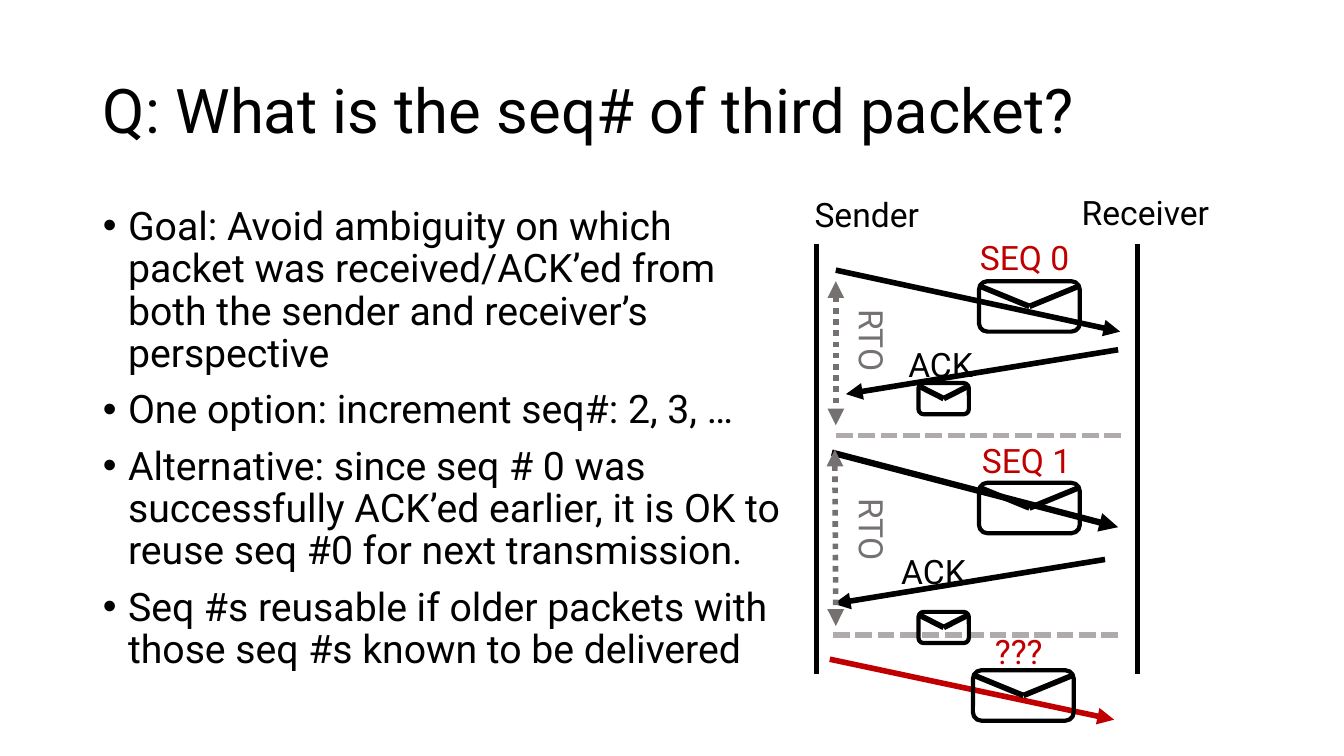
"""Build a slide on choosing the sequence number of the third packet."""
from dataclasses import dataclass
from typing import Optional

from lxml.etree import SubElement
from pptx import Presentation
from pptx.dml.color import RGBColor
from pptx.enum.dml import MSO_LINE
from pptx.enum.shapes import MSO_CONNECTOR, MSO_SHAPE
from pptx.enum.text import MSO_ANCHOR, MSO_AUTO_SIZE, PP_ALIGN
from pptx.oxml.ns import qn
from pptx.util import Inches, Pt

BLACK, RED, GREY, LIGHT_GREY = "000000", "C00000", "767171", "AFABAB"
FONT = "Roboto"
TITLE = "Q: What is the seq# of third packet?"
POINTS = [
    "Goal: Avoid ambiguity on which packet was received/ACK’ed from both the sender and receiver’s perspective",
    "One option: increment seq#: 2, 3, …",
    "Alternative: since seq # 0 was successfully ACK’ed earlier, it is OK to reuse seq #0 for next transmission.",
    "Seq #s reusable if older packets with those seq #s known to be delivered",
]


@dataclass
class Line:
    start: tuple[float, float]
    end: tuple[float, float]
    color: str = BLACK
    width: float = 4
    dash: Optional[MSO_LINE] = None
    head: bool = False
    tail: bool = False


@dataclass
class Label:
    text: str
    left: float
    top: float
    width: float
    color: str = BLACK
    rotation: float = 0
    wrap: bool = True


@dataclass
class Envelope:
    left: float
    top: float
    width: float = 1
    height: float = 0.5


LINES = [
    Line((8.1, 2.42), (8.1, 6.69)),
    Line((11.28, 2.42), (11.28, 6.69)),
    Line((8.29, 2.68), (11.11, 3.29), tail=True),
    Line((11.09, 3.47), (8.39, 3.91), tail=True),
    Line((8.25, 4.49), (11.09, 5.23), width=4.5, tail=True),
    Line((10.96, 5.55), (8.27, 5.99), tail=True),
    Line((8.23, 6.54), (11.05, 7.14), RED, tail=True),
    Line((8.29, 4.32), (11.14, 4.32), LIGHT_GREY, dash=MSO_LINE.SQUARE_DOT),
    Line((8.26, 6.3), (11.11, 6.3), LIGHT_GREY, dash=MSO_LINE.SQUARE_DOT),
    Line((8.29, 2.79), (8.29, 4.22), GREY, dash=MSO_LINE.ROUND_DOT, head=True, tail=True),
    Line((8.28, 4.46), (8.29, 6.21), GREY, dash=MSO_LINE.ROUND_DOT, head=True, tail=True),
]
LABELS = [
    Label("Sender", 7.98, 1.87, 1.51),
    Label("Receiver", 10.63, 1.85, 1.68),
    Label("SEQ 0", 9.62, 2.3, 1.34, RED),
    Label("SEQ 1", 9.64, 4.32, 1.23, RED),
    Label("???", 9.77, 6.21, 0.93, RED),
    Label("ACK", 8.91, 3.36, 0.89, wrap=False),
    Label("ACK", 8.84, 5.42, 0.89, wrap=False),
    Label("RTO", 8.1, 3.27, 1.1, GREY, rotation=90),
    Label("RTO", 8.1, 5.15, 1.1, GREY, rotation=90),
]
ENVELOPES = [
    Envelope(9.71, 2.79),
    Envelope(9.11, 3.8, 0.5, 0.31),
    Envelope(9.71, 4.79),
    Envelope(9.11, 6.07, 0.5, 0.31),
    Envelope(9.65, 6.65),
]


def rgb(color: str) -> RGBColor:
    """Turn a hex string into a colour."""
    return RGBColor.from_string(color)


def write(paragraph, text: str, *, size: float, color: str = BLACK,
          spacing: Optional[float] = None, before: float = 0, bullet: bool = False) -> None:
    """Put formatted text into a paragraph."""
    if bullet:
        properties = paragraph._p.get_or_add_pPr()
        properties.set("marL", str(Inches(0.25)))
        properties.set("indent", str(Inches(-0.25)))
        SubElement(properties, qn("a:buFont"), typeface="Arial")
        SubElement(properties, qn("a:buChar"), char="•")
    paragraph.alignment = PP_ALIGN.LEFT
    paragraph.space_before = Pt(before)
    if spacing:
        paragraph.line_spacing = spacing
    run = paragraph.add_run()
    run.text = text
    run.font.name = FONT
    run.font.size = Pt(size)
    run.font.color.rgb = rgb(color)


def place(shape, left: float, top: float, width: float, height: float) -> None:
    """Move and size a shape in inches."""
    shape.left, shape.top = Inches(left), Inches(top)
    shape.width, shape.height = Inches(width), Inches(height)


def draw_line(shapes, line: Line) -> None:
    """Draw a line with optional dashes and arrowheads."""
    connector = shapes.add_connector(
        MSO_CONNECTOR.STRAIGHT, *(Inches(value) for value in line.start + line.end))
    connector.line.color.rgb = rgb(line.color)
    connector.line.width = Pt(line.width)
    if line.dash is not None:
        connector.line.dash_style = line.dash
    outline = connector.line._get_or_add_ln()
    for tag, wanted in (("a:headEnd", line.head), ("a:tailEnd", line.tail)):
        if wanted:
            SubElement(outline, qn(tag), type="triangle")
    SubElement(connector._element.spPr, qn("a:effectLst"))


def draw_label(shapes, label: Label) -> None:
    """Draw a text label of the packet diagram."""
    box = shapes.add_textbox(
        Inches(label.left), Inches(label.top), Inches(label.width), Inches(0.5))
    box.rotation = label.rotation
    box.text_frame.word_wrap = label.wrap
    box.text_frame.auto_size = MSO_AUTO_SIZE.SHAPE_TO_FIT_TEXT
    write(box.text_frame.paragraphs[0], label.text, size=24, color=label.color)


def draw_envelope(shapes, envelope: Envelope) -> None:
    """Draw a grouped envelope with a two-line flap."""
    group = shapes.add_group_shape()
    left, top, width, height = envelope.left, envelope.top, envelope.width, envelope.height
    body = group.shapes.add_shape(
        MSO_SHAPE.ROUNDED_RECTANGLE, Inches(left), Inches(top), Inches(width), Inches(height))
    body.shadow.inherit = False
    body.fill.background()
    body.line.color.rgb = rgb(BLACK)
    body.line.width = Pt(3)
    flap_top = top + 0.09 * height
    tip = (left + width / 2, top + height / 2)
    draw_line(group.shapes, Line((left, flap_top), tip))
    draw_line(group.shapes, Line(tip, (left + width, flap_top)))


def main() -> None:
    """Build and save the presentation."""
    presentation = Presentation()
    presentation.slide_width, presentation.slide_height = Inches(13.33), Inches(7.5)
    slide = presentation.slides.add_slide(presentation.slide_layouts[1])

    title, body = slide.shapes.title, slide.placeholders[1]
    place(title, 0.92, 0.4, 11.5, 1.45)
    place(body, 0.92, 2, 7.04, 5.5)
    for placeholder, anchor in ((title, MSO_ANCHOR.MIDDLE), (body, MSO_ANCHOR.TOP)):
        placeholder.text_frame.auto_size = MSO_AUTO_SIZE.NONE
        placeholder.text_frame.vertical_anchor = anchor
    write(title.text_frame.paragraphs[0], TITLE, size=44, spacing=0.9)
    for index, point in enumerate(POINTS):
        frame = body.text_frame
        paragraph = frame.add_paragraph() if index else frame.paragraphs[0]
        write(paragraph, point, size=28, spacing=0.9, before=10 if index else 0, bullet=True)

    for line in LINES:
        draw_line(slide.shapes, line)
    for envelope in ENVELOPES:
        draw_envelope(slide.shapes, envelope)
    for label in LABELS:
        draw_label(slide.shapes, label)
    presentation.save("out.pptx")


if __name__ == "__main__":
    main()
